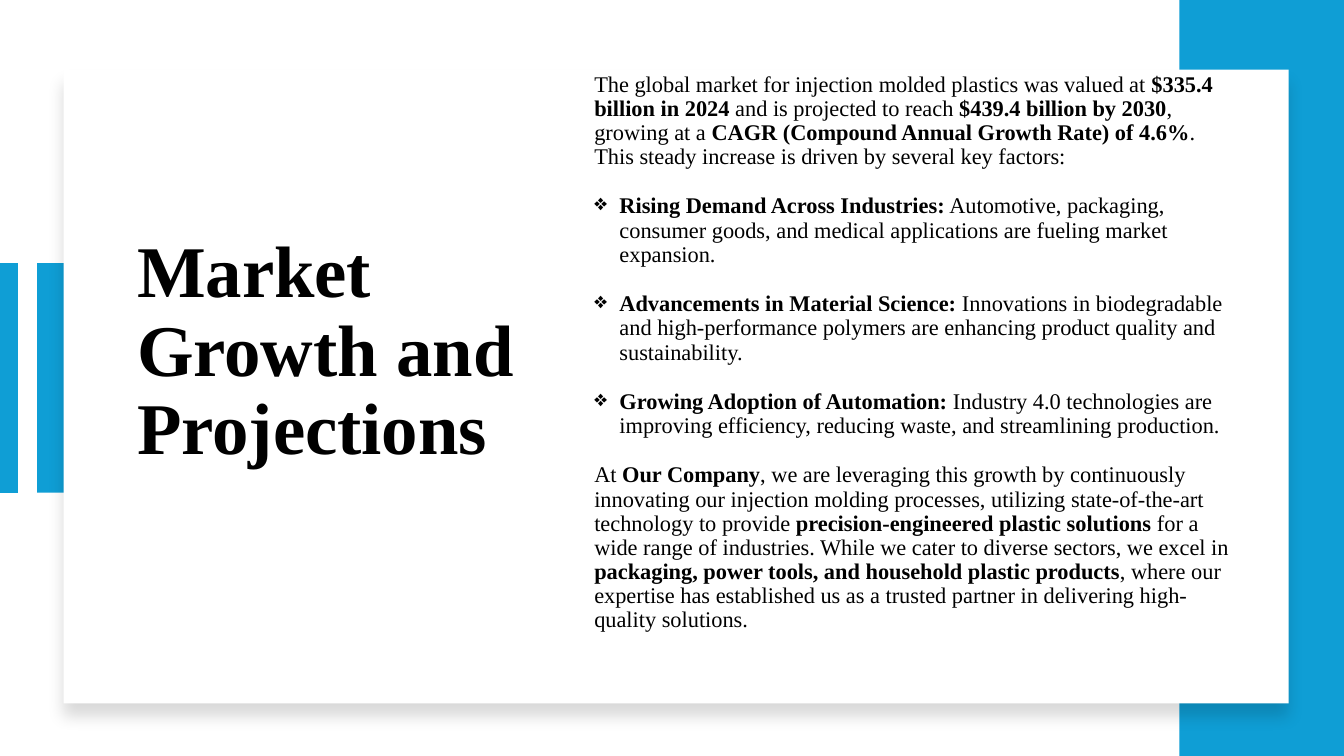
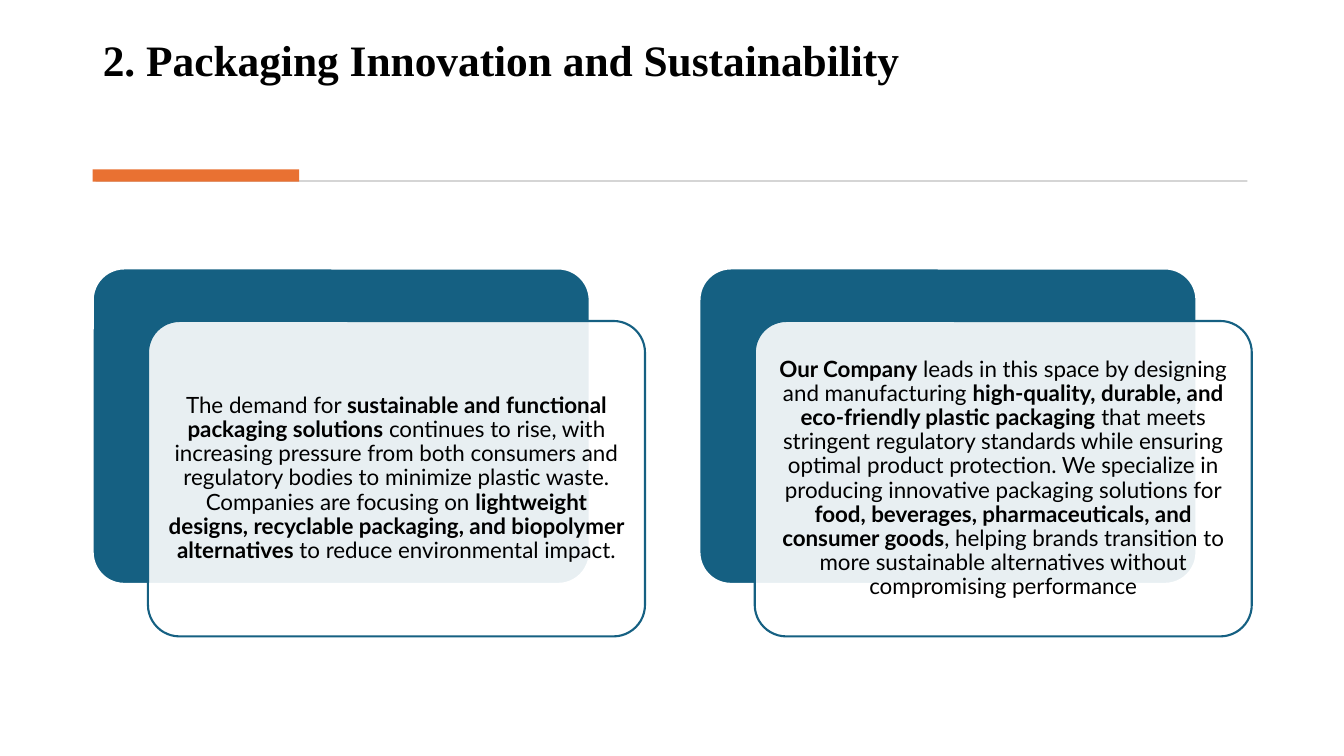
from dataclasses import dataclass

from lxml import etree
from pptx import Presentation
from pptx.dml.color import RGBColor
from pptx.enum.shapes import MSO_CONNECTOR, MSO_SHAPE
from pptx.enum.text import MSO_ANCHOR, MSO_AUTO_SIZE, PP_ALIGN
from pptx.oxml.ns import qn
from pptx.shapes.autoshape import Shape
from pptx.slide import Slide
from pptx.text.text import TextFrame, _Paragraph
from pptx.util import Pt

WHITE = RGBColor(0xFF, 0xFF, 0xFF)
BLACK = RGBColor(0x00, 0x00, 0x00)
BLUE = RGBColor(0x0F, 0x9E, 0xD5)
TEAL = RGBColor(0x15, 0x60, 0x82)
GREY = RGBColor(0xD5, 0xD5, 0xD5)
ORANGE = RGBColor(0xE9, 0x71, 0x32)
SERIF = "Times New Roman"
SANS = "Lato"
RECT = MSO_SHAPE.RECTANGLE
ROUND = MSO_SHAPE.ROUNDED_RECTANGLE
STRAIGHT = MSO_CONNECTOR.STRAIGHT
TOP = MSO_ANCHOR.TOP
MIDDLE = MSO_ANCHOR.MIDDLE
NO_FIT = MSO_AUTO_SIZE.NONE
LEFT = PP_ALIGN.LEFT
CENTER = PP_ALIGN.CENTER
TITLE_ONLY = 5
WIDTH, HEIGHT = 960, 540
SPACING = 0.9
BODY_SIZE = 16
INDENT = 18


@dataclass(frozen=True)
class Box:
    left: float
    top: float
    width: float
    height: float

    def moved(self, right: float, down: float = 0) -> "Box":
        return Box(self.left + right, self.top + down, self.width, self.height)

    def lengths(self) -> list[Pt]:
        return [Pt(n) for n in (self.left, self.top, self.width, self.height)]


@dataclass(frozen=True)
class Item:
    text: str
    bullet: str = ""


MARKET = (
    Item(
        "The global market for injection molded plastics was valued at "
        "*$335.4 billion in 2024* and is projected to reach "
        "*$439.4 billion by 2030*, growing at a "
        "*CAGR (Compound Annual Growth Rate) of 4.6%*. "
        "This steady increase is driven by several key factors:"
    ),
    Item(
        "*Rising Demand Across Industries:* Automotive, packaging, consumer "
        "goods, and medical applications are fueling market expansion.",
        "❖",
    ),
    Item(
        "*Advancements in Material Science:* Innovations in biodegradable and "
        "high-performance polymers are enhancing product quality and "
        "sustainability.",
        "❖",
    ),
    Item(
        "*Growing Adoption of Automation:* Industry 4.0 technologies are "
        "improving efficiency, reducing waste, and streamlining production.",
        "❖",
    ),
    Item(
        "At *Our Company*, we are leveraging this growth by continuously "
        "innovating our injection molding processes, utilizing "
        "state-of-the-art technology to provide *precision-engineered plastic "
        "solutions* for a wide range of industries. While we cater to diverse "
        "sectors, we excel in *packaging, power tools, and household plastic "
        "products*, where our expertise has established us as a trusted "
        "partner in delivering high-quality solutions."
    ),
)
CARDS = (
    "The demand for *sustainable and functional packaging solutions* "
    "continues to rise, with increasing pressure from both consumers and "
    "regulatory bodies to minimize plastic waste. Companies are focusing on "
    "*lightweight designs, recyclable packaging, and biopolymer alternatives* "
    "to reduce environmental impact.",
    "*Our Company* leads in this space by designing and manufacturing "
    "*high-quality, durable, and eco-friendly plastic packaging* that meets "
    "stringent regulatory standards while ensuring optimal product "
    "protection. We specialize in producing innovative packaging solutions "
    "for *food, beverages, pharmaceuticals, and consumer goods*, helping "
    "brands transition to more sustainable alternatives without compromising "
    "performance",
)
CARD = Box(66.24, 191.8, 355, 225.3)
CARD_STEP = 433.4


def add_rect(
    slide: Slide,
    box: Box,
    fill: RGBColor,
    edge: RGBColor | None = None,
    kind: MSO_SHAPE = RECT,
) -> Shape:
    shape = slide.shapes.add_shape(kind, *box.lengths())
    shape.shadow.inherit = False
    shape.fill.solid()
    shape.fill.fore_color.rgb = fill
    if edge is None:
        shape.line.fill.background()
    else:
        shape.line.color.rgb = edge
        shape.line.width = Pt(1.5)
    return shape


def cast_shadow(shape: Shape) -> None:
    effects = shape._element.spPr.find(qn("a:effectLst"))
    shadow = etree.SubElement(
        effects,
        qn("a:outerShdw"),
        blurRad=str(Pt(11)),
        dist=str(Pt(10)),
        dir="5400000",
        algn="t",
        rotWithShape="0",
    )
    color = etree.SubElement(shadow, qn("a:srgbClr"), val=str(BLACK))
    etree.SubElement(color, qn("a:alpha"), val="15000")


def set_alpha(shape: Shape, percent: int) -> None:
    color = shape._element.spPr.find(qn("a:solidFill")).find(qn("a:srgbClr"))
    etree.SubElement(color, qn("a:alpha"), val=str(percent * 1000))


def add_bar(slide: Slide, left: float, top: float, end: float) -> None:
    bar = slide.shapes.add_connector(
        STRAIGHT, Pt(left), Pt(top), Pt(left), Pt(end)
    )
    bar.line.color.rgb = BLUE
    bar.line.width = Pt(14)
    etree.SubElement(bar._element.spPr, qn("a:effectLst"))


def set_para(
    para: _Paragraph, text: str, face: str, size: float, align: PP_ALIGN
) -> None:
    para.alignment = align
    para.line_spacing = SPACING
    para.font.name = face
    para.font.size = Pt(size)
    para.font.color.rgb = BLACK
    for index, part in enumerate(text.split("*")):
        if part:
            run = para.add_run()
            run.text = part
            if index % 2:
                run.font.bold = True


def set_bullet(para: _Paragraph, mark: str) -> None:
    props = para._p.get_or_add_pPr()
    props.set("marL", str(Pt(INDENT)))
    props.set("indent", str(Pt(-INDENT)))
    bullet = etree.Element(qn("a:buChar"), char=mark)
    props.find(qn("a:defRPr")).addprevious(bullet)


def set_frame(frame: TextFrame, anchor: MSO_ANCHOR) -> None:
    frame.word_wrap = True
    frame.auto_size = NO_FIT
    frame.vertical_anchor = anchor


def set_title(
    slide: Slide, text: str, box: Box, size: float, anchor: MSO_ANCHOR
) -> None:
    title = slide.shapes.title
    title.left, title.top, title.width, title.height = box.lengths()
    set_frame(title.text_frame, anchor)
    para = title.text_frame.paragraphs[0]
    set_para(para, f"*{text}*", SERIF, size, LEFT)
    slide.shapes._spTree.append(title._element)


def add_body(slide: Slide, box: Box, items: tuple[Item, ...]) -> None:
    frame = slide.shapes.add_textbox(*box.lengths()).text_frame
    set_frame(frame, MIDDLE)
    for index, item in enumerate(items):
        para = frame.add_paragraph() if index else frame.paragraphs[0]
        set_para(para, item.text, SERIF, BODY_SIZE, LEFT)
        para.space_before = Pt(10)
        para.space_after = Pt(8)
        if item.bullet:
            set_bullet(para, item.bullet)


def add_card(slide: Slide, box: Box, text: str) -> None:
    back = add_rect(slide, box, TEAL, WHITE, ROUND)
    front = add_rect(slide, box.moved(39.5, 37.5), WHITE, TEAL, ROUND)
    for shape in (back, front):
        shape.adjustments[0] = 0.1
    set_alpha(front, 90)
    frame = front.text_frame
    set_frame(frame, MIDDLE)
    frame.margin_left = frame.margin_right = Pt(5)
    frame.margin_top = frame.margin_bottom = Pt(5)
    set_para(frame.paragraphs[0], text, SANS, BODY_SIZE, CENTER)


def draw_market(slide: Slide) -> None:
    add_rect(slide, Box(26.6, 188, 24.5, 164), BLUE)
    add_bar(slide, 5.8, 188, 352)
    add_rect(slide, Box(842.4, 0, 117.6, HEIGHT), BLUE)
    cast_shadow(add_rect(slide, Box(45.5, 49.7, 875, 452.8), WHITE))
    set_title(
        slide,
        "Market Growth and Projections",
        Box(90.7, 67.7, 286.6, 368.6),
        52,
        MIDDLE,
    )
    add_body(slide, Box(417.4, 37.5, 469.5, 429), MARKET)


def draw_packs(slide: Slide) -> None:
    set_title(
        slide,
        "2. Packaging Innovation and Sustainability",
        Box(66.24, 24, 827.3, 76),
        31,
        TOP,
    )
    add_rect(slide, Box(68.4, 128.6, 822.6, 1.4), GREY)
    add_rect(slide, Box(66.24, 121, 147.4, 8.8), ORANGE)
    for index, text in enumerate(CARDS):
        add_card(slide, CARD.moved(index * CARD_STEP), text)


def main() -> None:
    deck = Presentation()
    deck.slide_width, deck.slide_height = Pt(WIDTH), Pt(HEIGHT)
    for draw in (draw_market, draw_packs):
        draw(deck.slides.add_slide(deck.slide_layouts[TITLE_ONLY]))
    deck.save("out.pptx")


if __name__ == "__main__":
    main()
